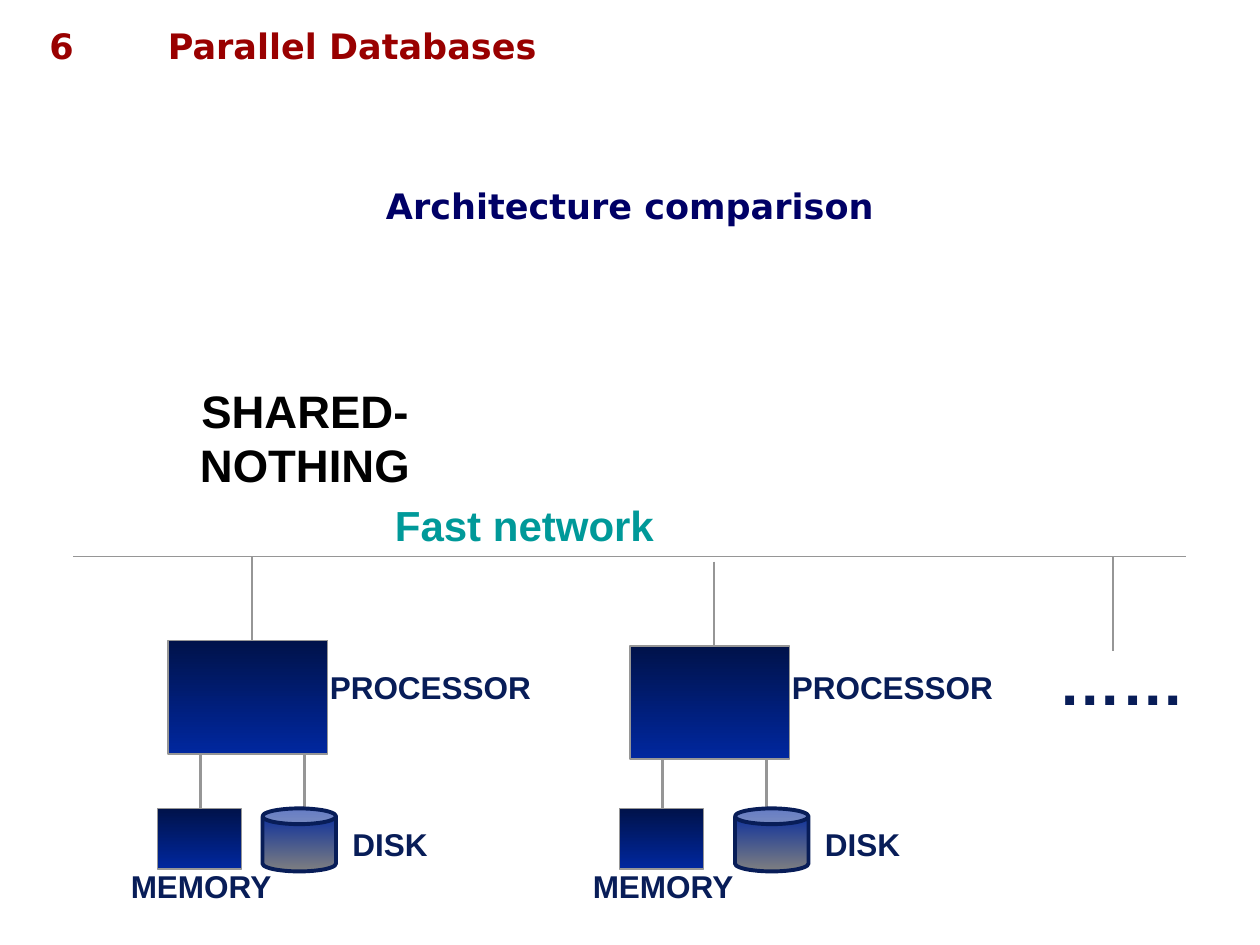
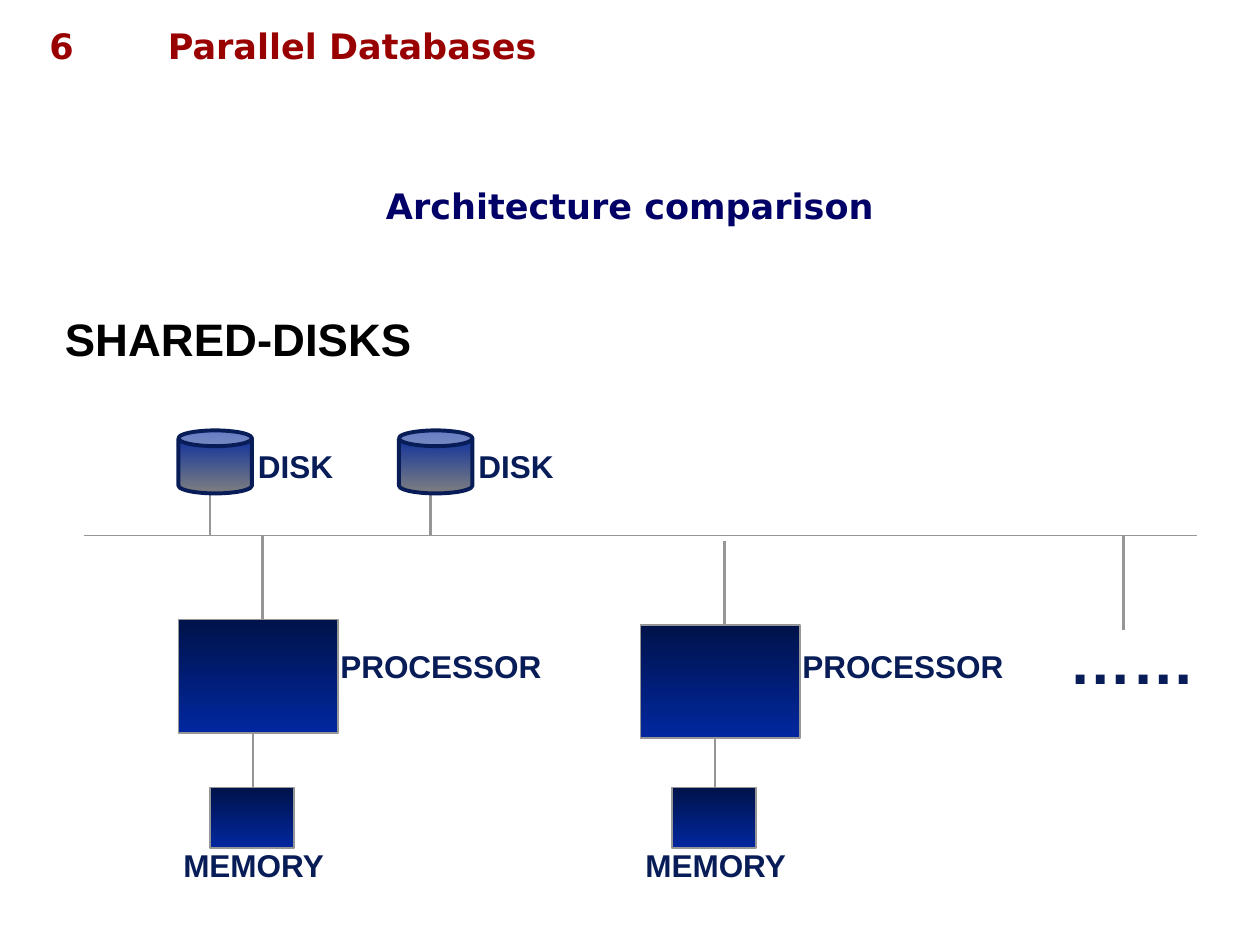
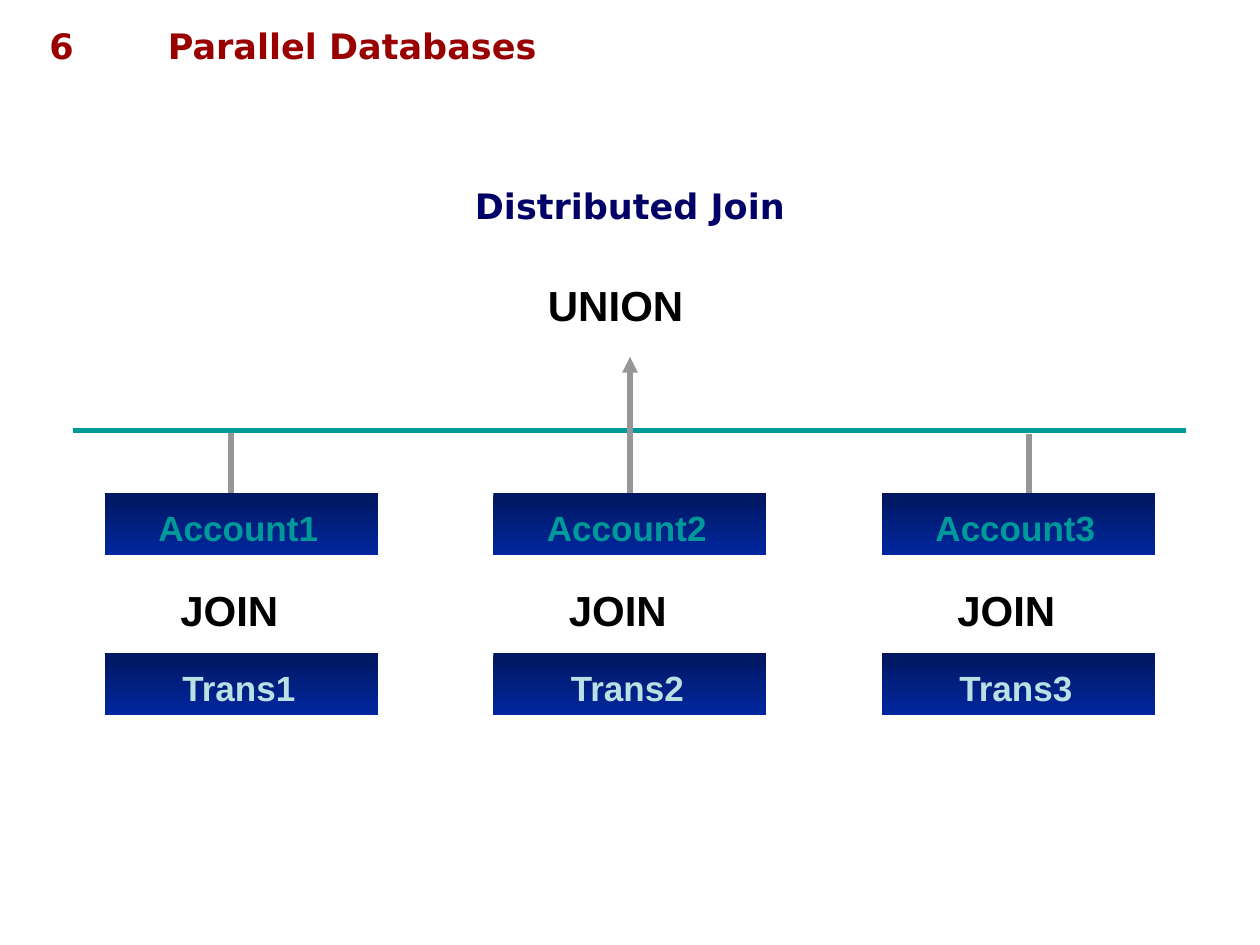
from lxml import etree
from pptx import Presentation
from pptx.dml import color
from pptx.enum import shapes, text
from pptx.oxml import ns

PX = 7620  # EMU per px, 120 px to the inch
NAVY, GREY, TEAL, BLACK = "081D58", "969696", "009999", "000000"
CORE = ("00124A", "00279F")
DISK = ("00279F", "808080")
BAR = ("00175F", "00279F")
RECT, CAN = shapes.MSO_SHAPE.RECTANGLE, shapes.MSO_SHAPE.CAN
LEFT, MID = text.PP_ALIGN.LEFT, text.PP_ALIGN.CENTER
rgb = color.RGBColor.from_string


def emu(*sizes):
    return [size * PX for size in sizes]


def write(shape, words, size=18, hue=NAVY, font="Arial", align=MID, wrap=True, grow=True):
    frame = shape.text_frame
    frame.text = words
    frame.word_wrap = wrap
    frame.auto_size = text.MSO_AUTO_SIZE.SHAPE_TO_FIT_TEXT if grow else text.MSO_AUTO_SIZE.NONE
    frame.vertical_anchor = text.MSO_ANCHOR.TOP if wrap and grow else text.MSO_ANCHOR.MIDDLE
    para = frame.paragraphs[0]
    para.alignment = align
    face = para.runs[0].font
    face.name, face.size, face.bold = font, size * 12700, True
    face.color.rgb = rgb(hue)


deck = Presentation()
deck.slide_width, deck.slide_height = emu(1200, 900)
plan = deck.slide_layouts[5]

# Each diagram: title, lines (x1, y1, x2, y2, hue, width, arrow),
# forms (kind, place, shades, edge, edge width), labels (words, place, format)
pages = []
pair = dict(size=36, wrap=False)
head = dict(size=26, hue=BLACK, wrap=False)

# Shared-nothing and shared-disks: a bus with two processor nodes
for own, dx, dy, inset in ((True, 0, 0, 0), (False, 10, -20, 40)):
    bus = 530 + dy
    lines = [(70 + dx, bus, 1130 + dx, bus, GREY, 1, False),
             (1060 + dx, bus, 1060 + dx, bus + 90, GREY, 1.25, False)]
    forms = []
    labels = [("……", (996 + dx, 606 + dy, 144, 84), pair)]
    cans = []  # left, top, label gap
    for x, drop in ((160 + dx, 0), (600 + dx, 5)):
        y = bus + drop
        stems = [(x + 80, y, y + 90), (x + 31 + inset, y + 170, y + 248)]
        if own:
            stems.append((x + 130, y + 180, y + 257))
        lines += [(sx, top, sx, end, GREY, 1.25, False) for sx, top, end in stems]
        forms += [(RECT, (x - 10 + inset, bus + 240, 80, 58), CORE, GREY, 1),
                  (RECT, (x, y + 80, 152, 108), CORE, GREY, 1)]
        labels += [("PROCESSOR", (x + 100, bus + 100, 300, 48), {}),
                   ("MEMORY", (x - 70 + inset, bus + 290, 203, 48), {})]
    if own:
        cans = [(250, 770, 20), (700, 770, 20)]
        labels += [("SHARED-NOTHING", (80, 384, 421, 65), head),
                   ("Fast network", (340, 470, 319, 60), dict(size=24, hue=TEAL))]
    else:
        cans = [(170, 410, 10), (380, 410, 10)]
        lines += [(x + 30, y + 30, x + 30, bus, GREY, 1.25, False) for x, y, gap in cans]
        labels.append(("SHARED-DISKS", (50, 290, 354, 65), head))
    for x, y, gap in cans:
        forms.append((CAN, (x, y, 70, 60), DISK, NAVY, 2.25))
        labels.append(("DISK", (x + gap, y + 10, 203, 48), {}))
    pages.append(("Architecture comparison", lines, forms, labels))

# Distributed join: three account and transaction pairs
plain = dict(size=24, hue=BLACK, align=LEFT)
lines = [(220, 410, 220, 500, GREY, 3, False), (70, 410, 1130, 410, TEAL, 3, False),
         (600, 340, 600, 510, GREY, 3, True), (980, 413, 980, 503, GREY, 3, False)]
forms, labels = [], [("UNION", (510, 260, 270, 60), plain)]
for num in (1, 2, 3):
    x = 100 + 370 * (num - 1)
    forms += [(RECT, (x, y, 260, 59), BAR, None, 0) for y in (470, 622)]
    labels += [(f"Account{num}", (x + 39, 476, 176, 53), dict(size=20, hue=TEAL, wrap=False)),
               ("JOIN", (x + 60, 551, 170, 60), plain),
               (f"Trans{num}", (x + 61, 628, 133, 53), dict(size=20, hue="BBE0E3", wrap=False))]
pages.append(("Distributed Join", lines, forms, labels))

# Draw every page
for title, lines, forms, labels in pages:
    slide = deck.slides.add_slide(plan)
    top = slide.shapes.title
    top.left, top.top, top.width, top.height = emu(0, 178, 1200, 36)
    write(top, title, size=20, hue="000066", font="DejaVu Sans", grow=False)

    for x1, y1, x2, y2, hue, width, arrow in lines:
        line = slide.shapes.add_connector(shapes.MSO_CONNECTOR.STRAIGHT, *emu(x1, y1, x2, y2))
        line.line.color.rgb = rgb(hue)
        line.line.width = int(width * 12700)
        props = line.element.spPr
        if arrow:
            etree.SubElement(props.find(ns.qn("a:ln")), ns.qn("a:headEnd"), type="triangle")
        etree.SubElement(props, ns.qn("a:effectLst"))

    for kind, place, shades, edge, width in forms:
        form = slide.shapes.add_shape(kind, *emu(*place))
        form.shadow.inherit = False
        form.fill.gradient()
        form.fill.gradient_angle = 270
        for stop, shade in zip(form.fill.gradient_stops, shades):
            stop.color.rgb = rgb(shade)
        if edge:
            form.line.color.rgb = rgb(edge)
            form.line.width = int(width * 12700)
        else:
            form.line.fill.background()

    for words, place, style in labels:
        write(slide.shapes.add_textbox(*emu(*place)), words, **style)

# Chapter header, moved to the shared layout
for words, place, align in (("Parallel Databases", (148, 17, 1021, 53), LEFT),
                            ("6", (16, 17, 85, 53), MID)):
    box = slide.shapes.add_textbox(*emu(*place))
    write(box, words, size=20, hue="990000", font="DejaVu Sans", align=align)
    plan.shapes.element.append(box.element)

deck.save("out.pptx")
